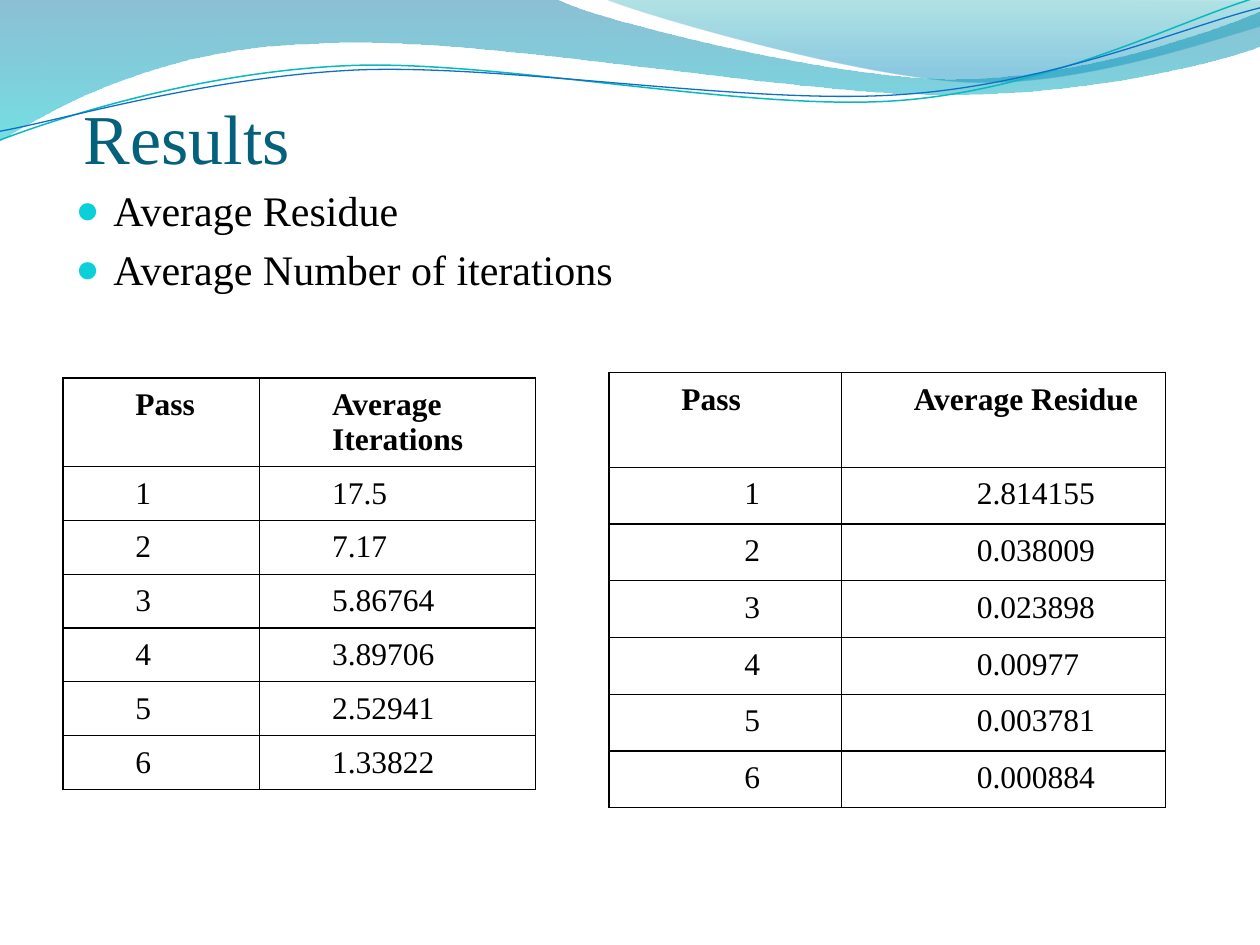
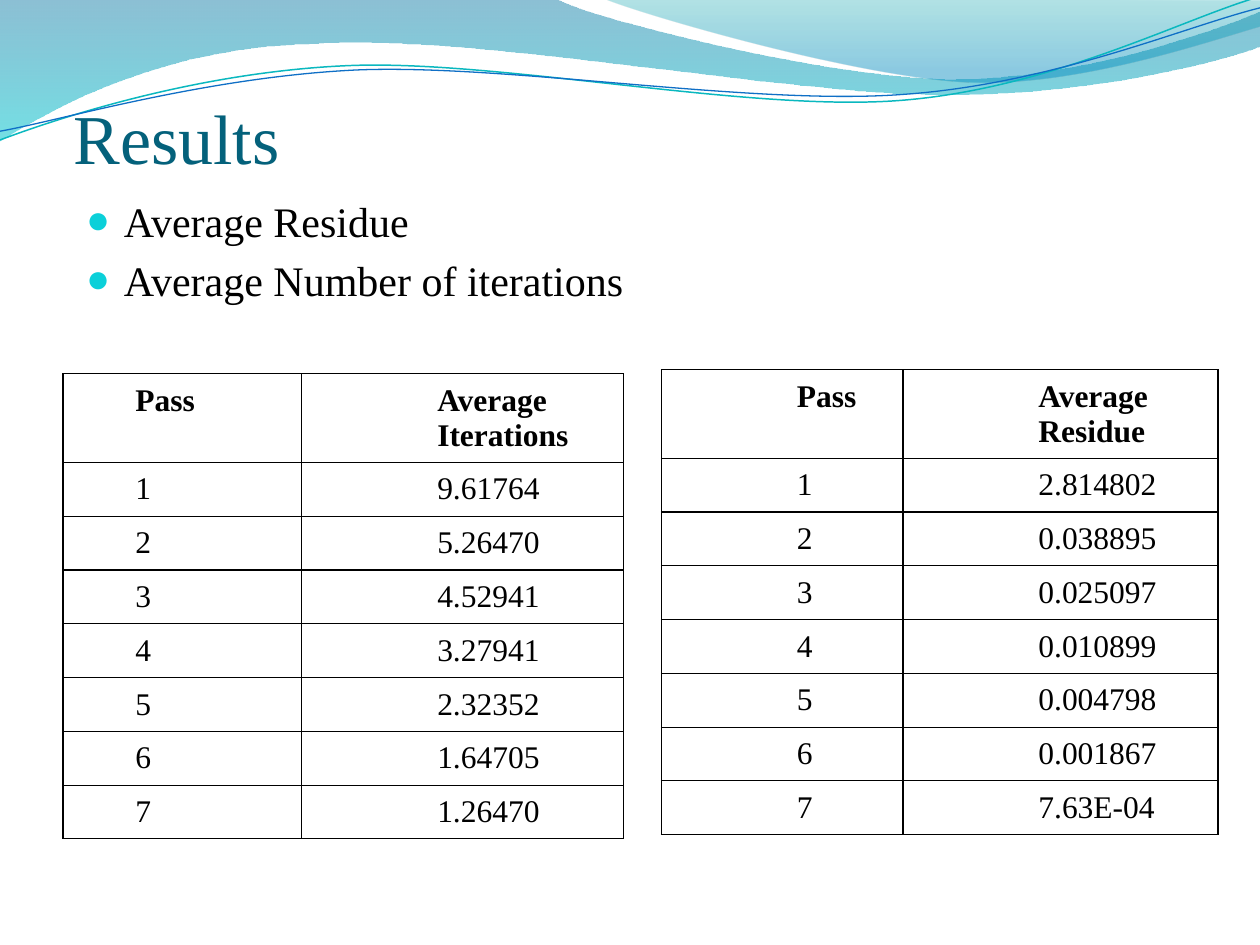
from dataclasses import dataclass
from math import cos, radians, sin
from lxml.etree import Element, SubElement as Sub
from pptx import Presentation
from pptx.dml.color import RGBColor as Rgb
from pptx.enum.text import MSO_ANCHOR as Anchor, MSO_AUTO_SIZE as Auto, PP_ALIGN as Align
from pptx.oxml.ns import qn
from pptx.util import Pt


@dataclass(frozen=True)
class Theme:
    font: str = "Times New Roman"
    title: str = "04617B"
    ink: str = "000000"
    dot: str = "0BD0D9"
    big: int = 40
    mid: int = 24
    small: int = 18
    pad: float = 5.4
    rule: float = 0.75
    tilt: float = 2.7


T = Theme()
TITLE = "Results"
POINTS = ["Average Residue", "Average Number of iterations"]
ITERS, RESID = ("Pass", "Average Iterations"), ("Pass", "Average Residue")

SLIDES = [
    {
        "title": (48, 12), "body": (36, 102),
        "tables": [
            {"at": (36, 216), "cols": (112.4, 157.6), "rows": (0, 0), "tall": 246.2,
             "left": (36, 36), "first": 0, "head": ITERS,
             "vals": ["17.5", "7.17", "5.86764", "3.89706", "2.52941", "1.33822"]},
            {"at": (348, 213), "cols": (132.8, 185.2), "rows": (54, 32.45), "tall": 249,
             "left": (36, 36), "first": 36, "head": RESID,
             "vals": ["2.814155", "0.038009", "0.023898", "0.00977", "0.003781", "0.000884"]},
        ],
    },
    {
        "title": (42, 12), "body": (42, 108),
        "tables": [
            {"at": (36, 213.6), "cols": (136.5, 183.9), "rows": (0, 0), "tall": 278.6,
             "left": (36, 72), "first": 0, "head": ITERS,
             "vals": ["9.61764", "5.26470", "4.52941", "3.27941", "2.32352", "1.64705", "1.26470"]},
            {"at": (378, 211.2), "cols": (138, 180), "rows": (0, 0), "tall": 278.6,
             "left": (72, 72), "first": 0, "head": RESID,
             "vals": ["2.814802", "0.038895", "0.025097", "0.010899", "0.004798", "0.001867", "7.63E-04"]},
        ],
    },
]

BANDS = [
    {"start": (0, 0), "stops": [(0, "0074A1", 45), (1, "00C6CF", 55)],
     "steps": [(317, -1), (343, 12, 478, 45, 546, 45), (614, 45, 690, 19, 720, 6.5),
               (721, 26), (708, 32, 626, 55, 537, 54), (448, 54, 275, 20, 185, 24.5),
               (93, 26, 33, 60, -1, 81), (0, 0)]},
    {"start": (345, -1), "stops": [(0, "00A1A9", 30), (0.8, "008BBF", 45)],
     "steps": [(366, 8, 491, 44.5, 554, 47), (616, 49.5, 692, 23, 720, 15), (720, 0),
               (345, -1)]},
    {"start": (0, 80), "line": ("0AB8BF", 0.85), "mid": (359.3, 41.4),
     "steps": [(34.5, 67, 114, 41, 199.5, 37.5), (284.5, 34, 427, 64, 513.5, 57.5),
               (600, 51, 675.5, 11, 718.5, -1.5)]},
    {"start": (0, 75), "line": ("0F6FC6", 0.75), "mid": (359.6, 42.5),
     "steps": [(34, 69, 118, 44, 204, 40), (290, 36.5, 430, 60.5, 516, 54),
               (602, 48, 677.5, 15, 720, 4.5)]},
]


def put(obj, **vals):
    for key, val in vals.items():
        setattr(obj, key, val)


def ink(font, size, color, bold=False):
    put(font, name=T.font, size=Pt(size), bold=bold)
    font.color.rgb = Rgb.from_string(color)


def indent(para, left, first):
    props = para._p.get_or_add_pPr()
    props.set("marL", str(Pt(left)))
    props.set("indent", str(Pt(first)))
    return props


def turn(dot, mid):
    angle = radians(T.tilt)
    x, y = dot[0] - mid[0], dot[1] - mid[1]
    return (mid[0] + x * cos(angle) - y * sin(angle),
            mid[1] + x * sin(angle) + y * cos(angle))


def curve(shape, steps):
    lines = list(shape.element.iter(qn("a:lnTo")))
    for step in steps:
        part, lines = lines[:len(step) // 2], lines[len(step) // 2:]
        if len(part) == 3:
            bend = Element(qn("a:cubicBezTo"))
            part[0].addprevious(bend)
            for line in part:
                bend.append(line[0])
                line.getparent().remove(line)


def wave(slide, band):
    steps = band["steps"]
    dots = [band["start"]] + [step[i:i + 2] for step in steps for i in range(0, len(step), 2)]
    if "mid" in band:
        dots = [turn(dot, band["mid"]) for dot in dots]
    first, *rest = [(Pt(x), Pt(y)) for x, y in dots]
    pen = slide.shapes.build_freeform(*first)
    pen.add_line_segments(rest, close="stops" in band)
    shape = pen.convert_to_shape()
    curve(shape, steps)
    shape.shadow.inherit = False
    if "line" in band:
        color, width = band["line"]
        shape.rotation = 360 - T.tilt
        shape.fill.background()
        shape.line.color.rgb = Rgb.from_string(color)
        shape.line.width = Pt(width)
        return shape
    shape.line.fill.background()
    shape.fill.gradient()
    shape.fill.gradient_angle = 270
    for stop, (pos, color, _) in zip(shape.fill.gradient_stops, band["stops"]):
        stop.position = pos
        stop.color.rgb = Rgb.from_string(color)
    for node, (_, _, alpha) in zip(shape.element.iter(qn("a:srgbClr")), band["stops"]):
        Sub(node, qn("a:alpha"), val=str(alpha * 1000))
    return shape


def backdrop(deck, slide):
    tree = deck.slide_master.shapes.element
    for i, band in enumerate(BANDS):
        shape = wave(slide, band)
        shape.element.nvSpPr.cNvPr.set("id", str(100 + i))
        tree.insert(2 + i, shape.element)


def place(shape, at, size):
    put(shape, left=Pt(at[0]), top=Pt(at[1]), width=Pt(size[0]), height=Pt(size[1]))
    put(shape.text_frame, auto_size=Auto.NONE, word_wrap=True)


def heading(shape, at):
    place(shape, at, (648, 90))
    frame = shape.text_frame
    put(frame, text=TITLE, vertical_anchor=Anchor.BOTTOM,
        margin_left=0, margin_right=0, margin_top=Pt(3.6), margin_bottom=0)
    para = frame.paragraphs[0]
    para.alignment = Align.LEFT
    ink(para.runs[0].font, T.big, T.title)


def bullets(shape, at):
    place(shape, at, (648, 345.6))
    frame = shape.text_frame
    frame.text = "\n".join(POINTS)
    for para in frame.paragraphs:
        ink(para.runs[0].font, T.mid, T.ink)
        props = indent(para, 21.6, -21.6)
        Sub(Sub(props, qn("a:buClr")), qn("a:srgbClr"), val=T.dot)
        Sub(props, qn("a:buSzPct"), val="95000")
        Sub(props, qn("a:buFont"), typeface=T.font)
        Sub(props, qn("a:buChar"), char="●")


def border(cell):
    props = cell._tc.get_or_add_tcPr()
    for i, side in enumerate("LRTB"):
        edge = Element(qn("a:ln" + side), w=str(Pt(T.rule)))
        Sub(Sub(edge, qn("a:solidFill")), qn("a:srgbClr"), val=T.ink)
        props.insert(i, edge)


def grid(slide, data):
    rows = [data["head"]] + [(str(i), val) for i, val in enumerate(data["vals"], 1)]
    head, step = data["rows"]
    x, y = data["at"]
    frame = slide.shapes.add_table(
        len(rows), 2, Pt(x), Pt(y), Pt(sum(data["cols"])), Pt(data["tall"]))
    table = frame.table
    put(table, first_row=False, horz_banding=False)
    for col, width in zip(table.columns, data["cols"]):
        col.width = Pt(width)
    for r, words in enumerate(rows):
        table.rows[r].height = Pt(step if r else head)
        for c, word in enumerate(words):
            cell = table.cell(r, c)
            put(cell, text=word, vertical_anchor=Anchor.TOP,
                **{"margin_" + side: Pt(T.pad) for side in ("left", "right", "top", "bottom")})
            cell.fill.background()
            border(cell)
            para = cell.text_frame.paragraphs[0]
            indent(para, data["left"][c], data["first"] if r else 0)
            ink(para.runs[0].font, T.small, T.ink, bold=r == 0)
    frame.height = Pt(data["tall"])


def main():
    deck = Presentation()
    put(deck, slide_width=Pt(720), slide_height=Pt(540))
    for i, data in enumerate(SLIDES):
        slide = deck.slides.add_slide(deck.slide_layouts[1])
        if i == 0:
            backdrop(deck, slide)
        heading(slide.shapes.title, data["title"])
        bullets(slide.placeholders[1], data["body"])
        for table in data["tables"]:
            grid(slide, table)
    deck.save("out.pptx")


if __name__ == "__main__":
    main()
